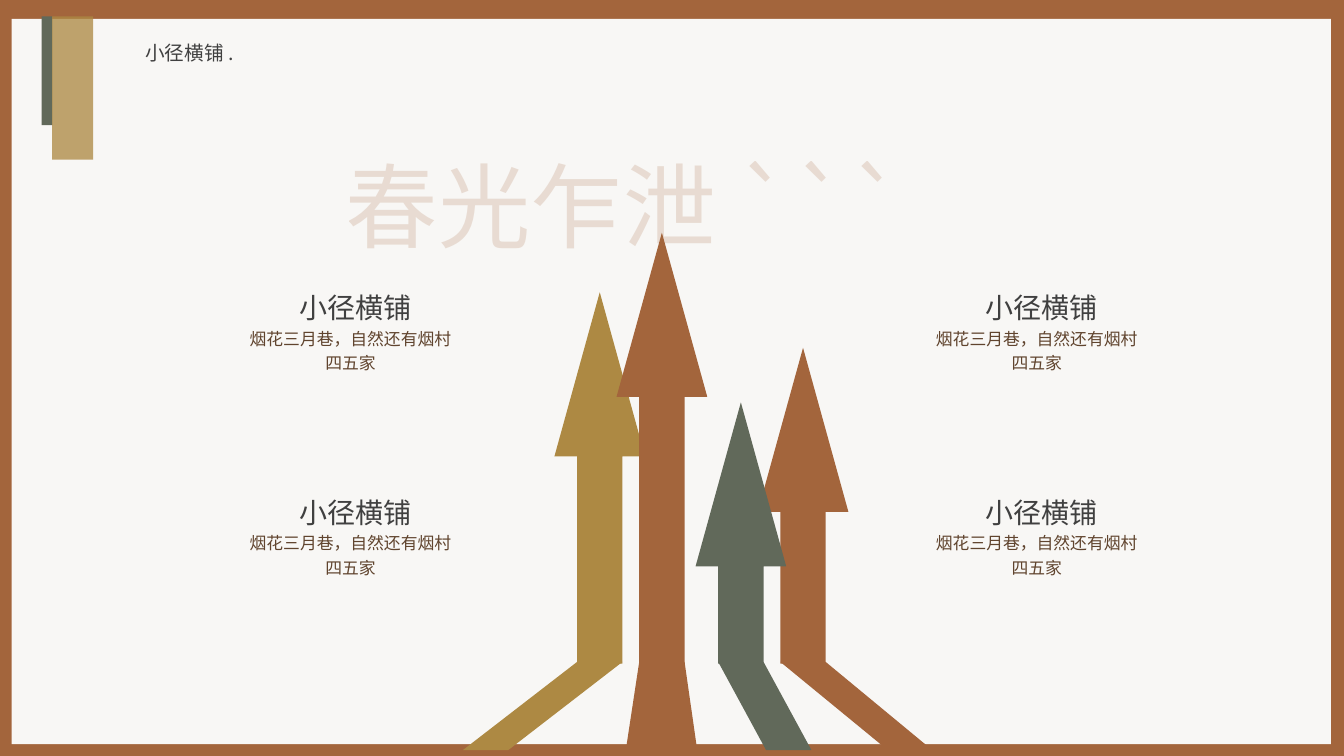
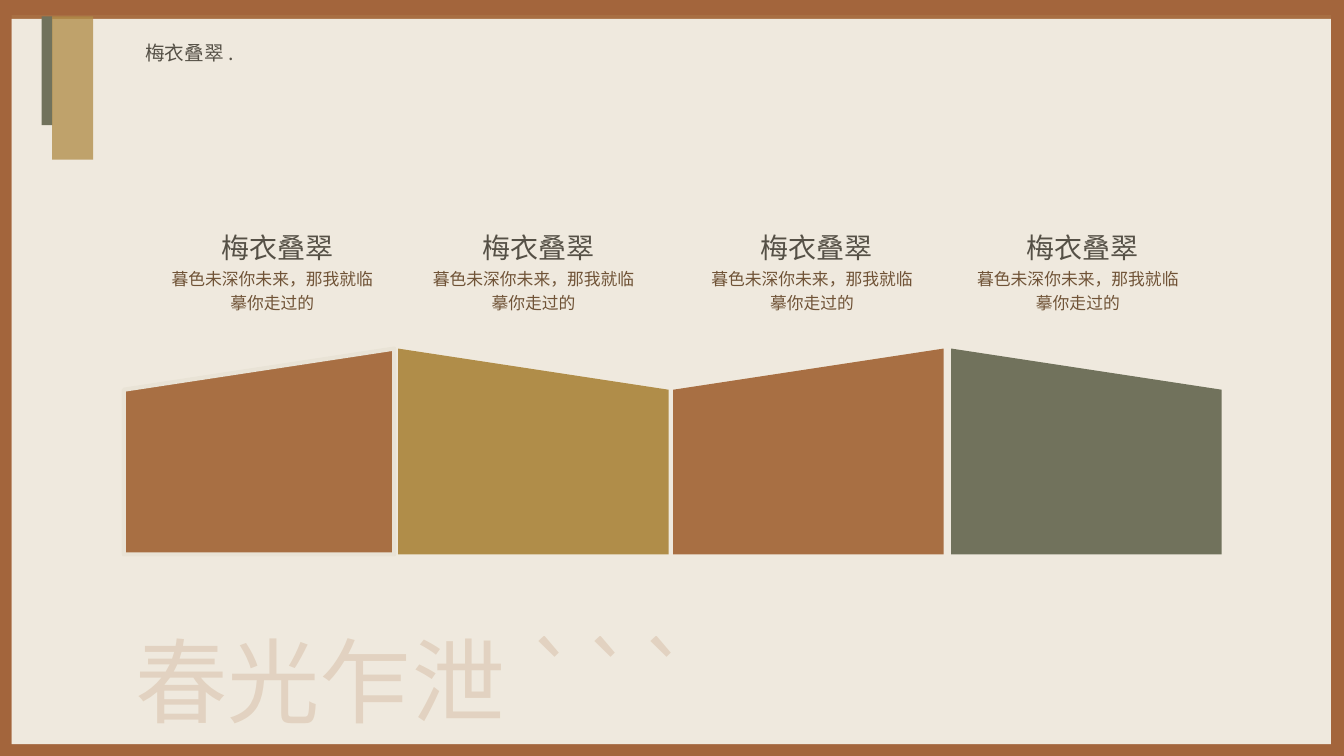
from lxml.etree import SubElement
from pptx import Presentation
from pptx.dml.color import RGBColor
from pptx.enum.shapes import MSO_SHAPE
from pptx.enum.text import MSO_ANCHOR, MSO_AUTO_SIZE, PP_ALIGN
from pptx.oxml.ns import qn
from pptx.util import Inches, Pt

COLS, ROWS = 160, 90
FONT = "Noto Sans CJK SC"
HUES = {
    "rust": "A3653C", "paper": "F8F7F5", "moss": "61695A", "gold": "AD8943",
    "ink": "404040", "brown": "60442E", "edge": "F0EFEC", "sand": "C5A669",
}


def hue(name):
    return RGBColor.from_string(HUES[name])


def fade(shape, share):
    """Make every colour set on the shape opaque to the given percentage."""
    for color in shape.element.iter(qn("a:srgbClr")):
        SubElement(color, qn("a:alpha")).set("val", str(share * 1000))


class Deck:
    """Holds the style and the current slide; lengths are grid cells."""

    def __init__(self):
        self.prs = Presentation()
        self.prs.slide_width = Inches(13.33)
        self.prs.slide_height = Inches(7.5)
        self.layout = self.prs.slide_layouts[5]
        self.slide = None

    def x(self, cols):
        return round(self.prs.slide_width * cols / COLS)

    def y(self, rows):
        return round(self.prs.slide_height * rows / ROWS)

    def area(self, left, top, width, height):
        return self.x(left), self.y(top), self.x(width), self.y(height)

    def page(self, title):
        first = self.slide is None
        self.slide = self.prs.slides.add_slide(self.layout)
        if first:
            self.frame()
        head = self.slide.shapes.title
        head.left, head.top, head.width, head.height = self.area(16.1, 4.3, 33.1, 4.1)
        self.label(head, title, 14, "ink", PP_ALIGN.JUSTIFY)
        self.rect("moss", 4.95, 1.95, 1.3, 12.95)
        fade(self.rect("gold", 6.2, 1.95, 4.9, 17.05), 77)

    def frame(self):
        """Put the border and the paper on the layout, behind all else."""
        tree = self.layout.shapes.element
        border = self.rect("rust", 0, 0, COLS, ROWS)
        paper = self.rect("paper", 1.4, 2.25, 157.05, 86.35)
        tree.insert(2, border.element)
        tree.insert(3, paper.element)

    def paint(self, shape, color):
        shape.shadow.inherit = False
        shape.fill.solid()
        shape.fill.fore_color.rgb = hue(color)
        shape.line.fill.background()
        return shape

    def shape(self, kind, color, *cells):
        return self.paint(self.slide.shapes.add_shape(kind, *self.area(*cells)), color)

    def rect(self, color, *cells):
        return self.shape(MSO_SHAPE.RECTANGLE, color, *cells)

    def arrow(self, color, left, top, foot, end):
        """Draw an upright arrow whose leg spreads to foot and end below."""
        wide, base, floor = 10.8, 79, 89.3
        body = self.shape(MSO_SHAPE.UP_ARROW, color, left, top, wide, base - top)
        body.adjustments[0], body.adjustments[1] = 0.5, 1.81
        knee = base - 0.2
        spots = [(left + wide / 4, knee), (left + wide * 3 / 4, knee),
                 (end, floor), (foot, floor)]
        points = [(self.x(col), self.y(row)) for col, row in spots]
        leg = self.slide.shapes.build_freeform(*points[0])
        leg.add_line_segments(points[1:], close=True)
        self.paint(leg.convert_to_shape(), color)

    def panel(self, color, left, flip):
        panel = self.shape(MSO_SHAPE.FLOWCHART_MANUAL_INPUT, color, left, 41.5, 32.2, 24.5)
        if flip:
            panel.element.spPr.get_or_add_xfrm().set("flipH", "1")
        return panel

    def label(self, shape, text, size, color, align, anchor=MSO_ANCHOR.TOP,
              space=1.0, wrap=True, inset=True):
        frame = shape.text_frame
        frame.text = text
        frame.word_wrap = wrap
        frame.auto_size = MSO_AUTO_SIZE.NONE
        frame.vertical_anchor = anchor
        if not inset:
            frame.margin_left = frame.margin_right = 0
            frame.margin_top = frame.margin_bottom = 0
        para = frame.paragraphs[0]
        para.alignment = align
        para.line_spacing = space
        font = para.runs[0].font
        font.size, font.name = Pt(size), FONT
        font.color.rgb = hue(color)
        for props in shape.element.iter(qn("a:rPr")):
            SubElement(props, qn("a:ea")).set("typeface", FONT)

    def motto(self, left, top):
        box = self.slide.shapes.add_textbox(*self.area(left, top, 77.6, 13.7))
        self.label(box, "春光乍泄 ```", 66, "rust", PP_ALIGN.JUSTIFY,
                   MSO_ANCHOR.MIDDLE, 1.4)
        fade(box, 19)

    def note(self, left, top, head, body):
        """Group a heading with the short text under it."""
        group = self.slide.shapes.add_group_shape().shapes
        box = group.add_textbox(*self.area(left, top, 26, 5.5))
        self.label(box, head, 20, "ink", PP_ALIGN.CENTER, MSO_ANCHOR.BOTTOM,
                   wrap=False, inset=False)
        box = group.add_textbox(*self.area(left, top + 5.5, 24.85, 3.85))
        self.label(box, body, 12, "brown", PP_ALIGN.CENTER, space=1.2, inset=False)

    def save(self):
        self.prs.save("out.pptx")


def climb(deck):
    """Build the slide of four rising arrows."""
    name = "小径横铺"
    deck.page(name + " .")
    for arrow in (("gold", 66, 34.8, 55.1, 60.5),
                  ("rust", 90.2, 41.4, 105.7, 111),
                  ("moss", 82.8, 47.9, 91.2, 96.6),
                  ("rust", 73.4, 27.7, 74.5, 83)):
        deck.arrow(*arrow)
    deck.motto(40, 14.9)
    for top in (33.1, 57.5):
        for left in (29.3, 111):
            deck.note(left, top, name, "烟花三月巷，自然还有烟村四五家")


def walls(deck):
    """Build the slide of four slanted panels."""
    name = "梅衣叠翠"
    deck.page(name + " .")
    rows = (("rust", 14.75, 20), ("gold", 47.4, 51.1),
            ("rust", 80.15, 84.25), ("moss", 113.25, 115.9))
    for spot, (color, left, note) in enumerate(rows):
        panel = deck.panel(color, left, spot % 2)
        if spot == 0:
            panel.line.color.rgb = hue("edge")
            panel.line.width = Pt(3)
        deck.note(note, 26, name, "暮色未深你未来，那我就临摹你走过的")
    deck.motto(14.9, 71.45)
    fade(deck.rect("sand", 1.4, 1.8, 157.05, 86.8), 16)


def main():
    deck = Deck()
    climb(deck)
    walls(deck)
    deck.save()


if __name__ == "__main__":
    main()
